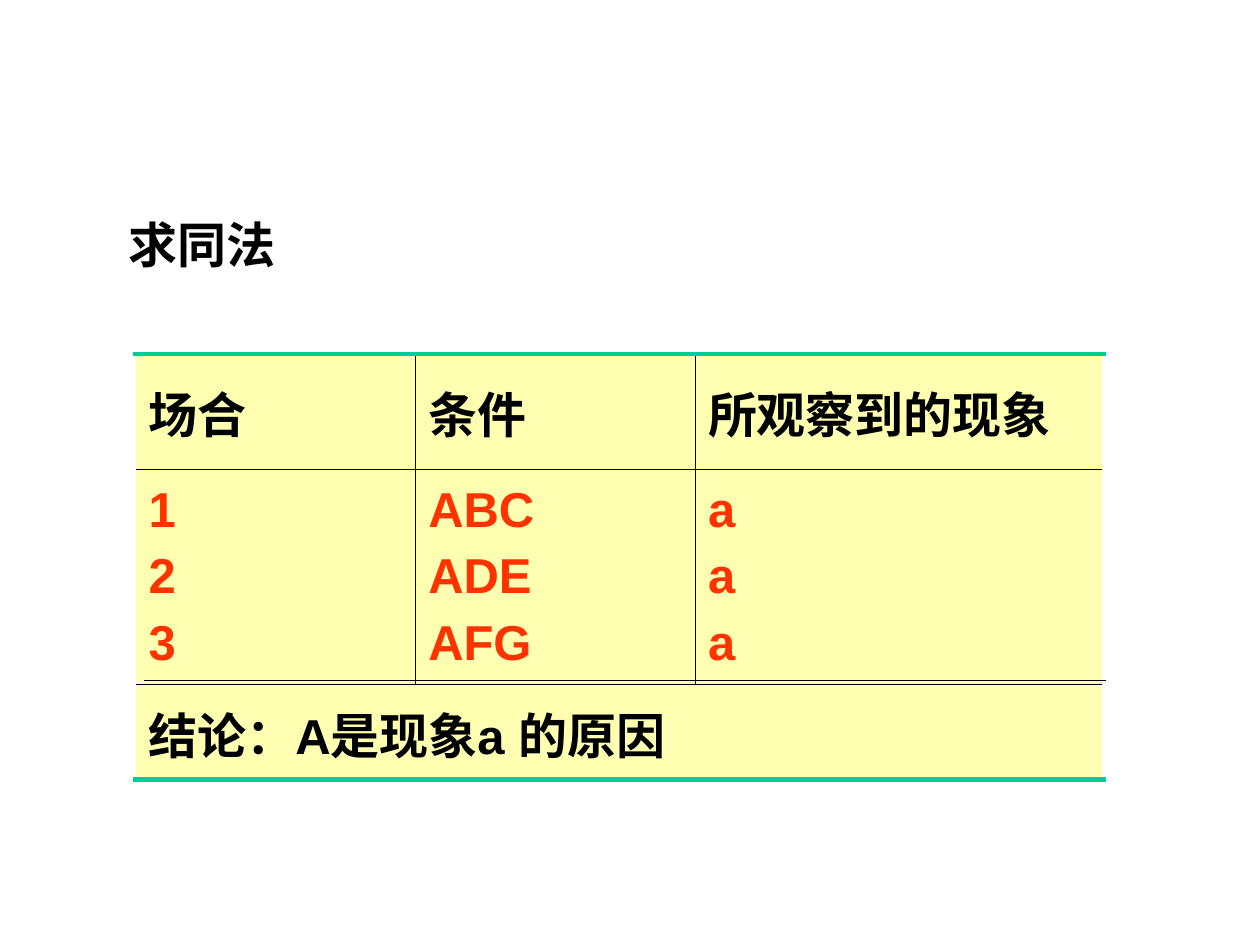
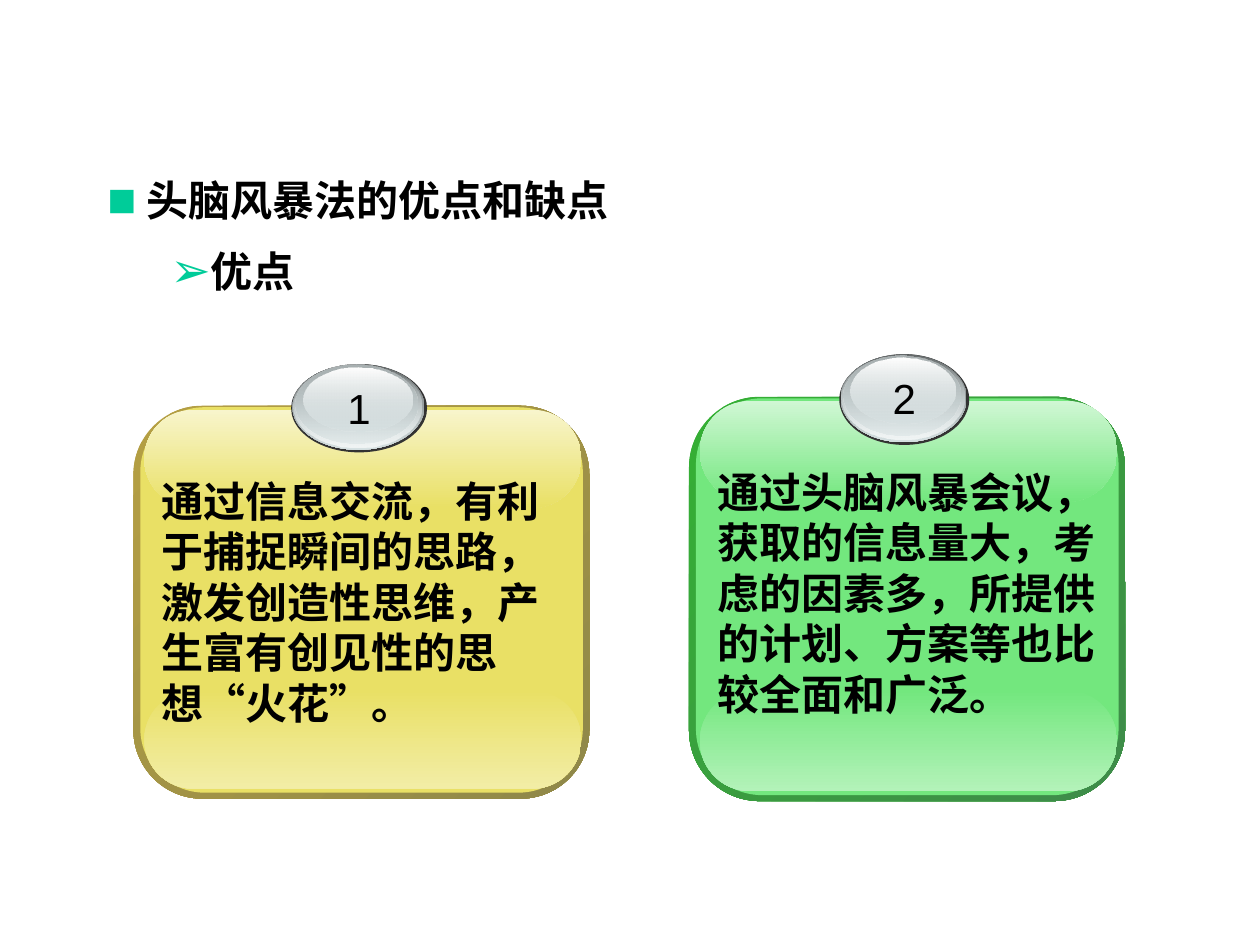
import pptx
import pptx.util
import pptx.dml.color
import pptx.enum.shapes
import pptx.enum.text
import pptx.oxml
import pptx.oxml.ns

Cm, Pt = pptx.util.Cm, pptx.util.Pt
RGB = pptx.dml.color.RGBColor
SHAPE = pptx.enum.shapes.MSO_SHAPE
ALIGN, ANCHOR = pptx.enum.text.PP_ALIGN, pptx.enum.text.MSO_ANCHOR
qn = pptx.oxml.ns.qn
NS = pptx.oxml.ns.nsdecls("a")

BLACK, WHITE = RGB(0, 0, 0), RGB(255, 255, 255)
TEAL, RED, CREAM = RGB(0, 204, 153), RGB(255, 51, 0), RGB(255, 255, 102)
DARK, GREY, STEEL = RGB(0x33, 0x33, 0x33), RGB(0x63, 0x68, 0x69), RGB(0xAA, 0xB2, 0xB3)
SILVER, PALE = RGB(0xD6, 0xE1, 0xE2), RGB(0xF1, 0xF5, 0xF5)
SERIF, SANS = "Times New Roman", "Arial"


def write(frame, text, size=24, font=SANS, color=BLACK, bold=True, align=ALIGN.LEFT,
          anchor=ANCHOR.TOP, before=0, space=1.0, wrap=True):
    """Fill a text frame, one paragraph per line of text."""
    frame.word_wrap = wrap
    frame.vertical_anchor = anchor
    frame.auto_size = pptx.enum.text.MSO_AUTO_SIZE.NONE
    for i, line in enumerate(text.split("\n")):
        para = frame.add_paragraph() if i else frame.paragraphs[0]
        para.alignment, para.line_spacing = align, space
        para.space_before = Pt(before if i else 0)
        run = para.add_run()
        run.text = line
        run.font.size, run.font.name, run.font.bold = Pt(size), font, bold
        run.font.color.rgb = color


def paint(fill, node, *stops, angle=270):
    """Fill with one (colour, opacity) stop, or blend two of them."""
    if len(stops) == 1:
        fill.solid()
        fill.fore_color.rgb = stops[0][0]
    else:
        fill.gradient()
        fill.gradient_angle = angle
        for stop, (color, _) in zip(fill.gradient_stops, stops):
            stop.color.rgb = color
    for clr, (_, alpha) in zip(list(node.iter(qn("a:srgbClr"))), stops):
        if alpha < 100:
            clr.append(pptx.oxml.parse_xml(f'<a:alpha {NS} val="{alpha * 1000}"/>'))


deck = pptx.Presentation()
deck.slide_width, deck.slide_height = Cm(25.4), Cm(19.05)

# Slide 1: title
slide = deck.slides.add_slide(deck.slide_layouts[5])
title = slide.shapes.title
title.left, title.top, title.width, title.height = Cm(2.34), Cm(4.19), Cm(13.13), Cm(1.45)
write(title.text_frame, "求同法", size=28, font=SERIF)

# Table of cases
rows = [["场合", "条件", "所观察到的现象"],
        ["1\n2\n3", "ABC\nADE\nAFG", "a\na\na"],
        ["结论：A是现象a 的原因", "", ""]]
table = slide.shapes.add_table(3, 3, Cm(2.74), Cm(7.14), Cm(19.48), Cm(8.61)).table
table.first_row = table.horz_banding = False
for col, width in zip(table.columns, (5.64, 5.64, 8.2)):
    col.width = Cm(width)
for row, height in zip(table.rows, (2.33, 4.32, 1.96)):
    row.height = Cm(height)
table.cell(2, 0).merge(table.cell(2, 2))
for r, row in enumerate(rows):
    for c, text in enumerate(row):
        cell = table.cell(r, c)
        props = cell._tc.get_or_add_tcPr()
        paint(cell.fill, props, (CREAM, 50))
        if text:
            write(cell.text_frame, text, size=28, color=RED if r == 1 else BLACK, before=7)
            cell.vertical_anchor = ANCHOR.MIDDLE
        edges = {"L": 0.45 if c > 0 and r < 2 else 0, "R": 0.45 if c < 2 and r < 2 else 0,
                 "T": 0.45 if r else 1.08, "B": 0.45 if r < 2 else 1.08}
        for i, (side, width) in enumerate(edges.items()):
            ink = f'<a:solidFill><a:srgbClr val="{BLACK}"/></a:solidFill>' if width else "<a:noFill/>"
            props.insert(i, pptx.oxml.parse_xml(
                f'<a:ln{side} {NS} w="{Pt(width)}">{ink}</a:ln{side}>'))

# Rules over the table
for left, top, color, width in ((2.69, 7.14, TEAL, 2.25), (2.69, 15.72, TEAL, 3),
                                (2.9, 13.72, BLACK, 0.75)):
    rule = slide.shapes.add_connector(pptx.enum.shapes.MSO_CONNECTOR.STRAIGHT,
                                      Cm(left), Cm(top), Cm(22.3), Cm(top))
    rule.line.color.rgb, rule.line.width = color, Pt(width)
    rule._element.spPr.append(pptx.oxml.parse_xml(f"<a:effectLst {NS}/>"))

# Slide 2: bullets
slide = deck.slides.add_slide(deck.slide_layouts[1])
title = slide.shapes.title._element
title.getparent().remove(title)
body = slide.placeholders[1]
body.left, body.top, body.width, body.height = Cm(0.64), Cm(3.18), Cm(23.7), Cm(4.95)
write(body.text_frame, "头脑风暴法的优点和缺点\n优点", before=6, space=1.2)
marks = ((1, "■", 2.06, -0.79), (2, "➢", 3.18, -0.64))
for para, (level, mark, left, hang) in zip(body.text_frame.paragraphs, marks):
    para.level = level
    props = para._p.get_or_add_pPr()
    props.set("marL", str(Cm(left)))
    props.set("indent", str(Cm(hang)))
    for xml in (f'<a:buClr {NS}><a:srgbClr val="{TEAL}"/></a:buClr>',
                f'<a:buSzPct {NS} val="115000"/>',
                f'<a:buFont {NS} typeface="{SANS}"/>',
                f'<a:buChar {NS} char="{mark}"/>'):
        props.append(pptx.oxml.parse_xml(xml))

# Glass cards: box, oval, rim colours, face, low and high gloss
cards = [
    ("2", "通过头脑风暴会议，获取的信息量大，考虑的因素多，所提供的计划、方案等也比较全面和广泛。",
     (13.89, 8, 8.79, 8.15), (16.92, 7.14, 2.62, 1.83),
     RGB(0x34, 0xB0, 0x34), RGB(0x3F, 0x8B, 0x4A), RGB(0x73, 0xE7, 0x7E),
     RGB(0xB3, 0xF2, 0xB9), RGB(0xD0, 0xF7, 0xD4)),
    ("1", "通过信息交流，有利于捕捉瞬间的思路，激发创造性思维，产生富有创见性的思想“火花”。",
     (2.69, 8.18, 9.19, 7.92), (5.87, 7.34, 2.74, 1.78),
     RGB(0xB5, 0x9F, 0x43), RGB(0x8F, 0x88, 0x49), RGB(0xE9, 0xE0, 0x65),
     RGB(0xF2, 0xED, 0xA6), RGB(0xF8, 0xF5, 0xCC)),
]
# Oval layers: left, top, width and height as shares of the oval, then stops
layers = [
    (0, 0, 1, 1, [(DARK, 100)]),
    (0.01, 0, 0.97, 0.97, [(GREY, 100), (SILVER, 100)]),
    (0.02, 0, 0.94, 0.94, [(SILVER, 0), (PALE, 100)]),
    (0.03, 0.01, 0.9, 0.89, [(STEEL, 100), (SILVER, 48)]),
    (0.09, 0.04, 0.8, 0.72, [(WHITE, 100), (SILVER, 38)]),
]
for num, text, (x, y, w, h), (ox, oy, ow, oh), rim, edge, face, low, high in cards:
    band = h / 4
    parts = [
        (x, y, w, h, 0.175, [(rim, 100), (edge, 100)], 315),
        (x + 0.14, y + 0.03, w - 0.27, h - 0.15, 0.167, [(face, 100)], 270),
        (x + 0.22, y + h - 0.2 - band, w - 0.38, band, 0.5, [(face, 100), (low, 100)], 270),
        (x + 0.22, y + 0.08, w - 0.38, band, 0.5, [(high, 100), (face, 100)], 270),
    ]
    parts += [(ox + a * ow, oy + b * oh, p * ow, q * oh, None, stops, 270)
              for a, b, p, q, stops in layers]
    for left, top, width, height, curve, stops, angle in parts:
        kind = SHAPE.ROUNDED_RECTANGLE if curve else SHAPE.OVAL
        part = slide.shapes.add_shape(kind, Cm(left), Cm(top), Cm(width), Cm(height))
        if curve:
            part.adjustments[0] = curve
        part.shadow.inherit = False
        paint(part.fill, part._element.spPr, *stops, angle=angle)
        part.line.fill.background()
    label = slide.shapes.add_textbox(Cm(ox + ow / 2 - 0.48), Cm(oy + 0.25), Cm(0.96), Cm(1.27))
    write(label.text_frame, num, bold=False, align=ALIGN.CENTER, wrap=False)
    note = slide.shapes.add_textbox(Cm(x + 0.32), Cm(y + 1.28), Cm(w - 0.45), Cm(5.33))
    write(note.text_frame, text, font=SERIF)

deck.save("out.pptx")
